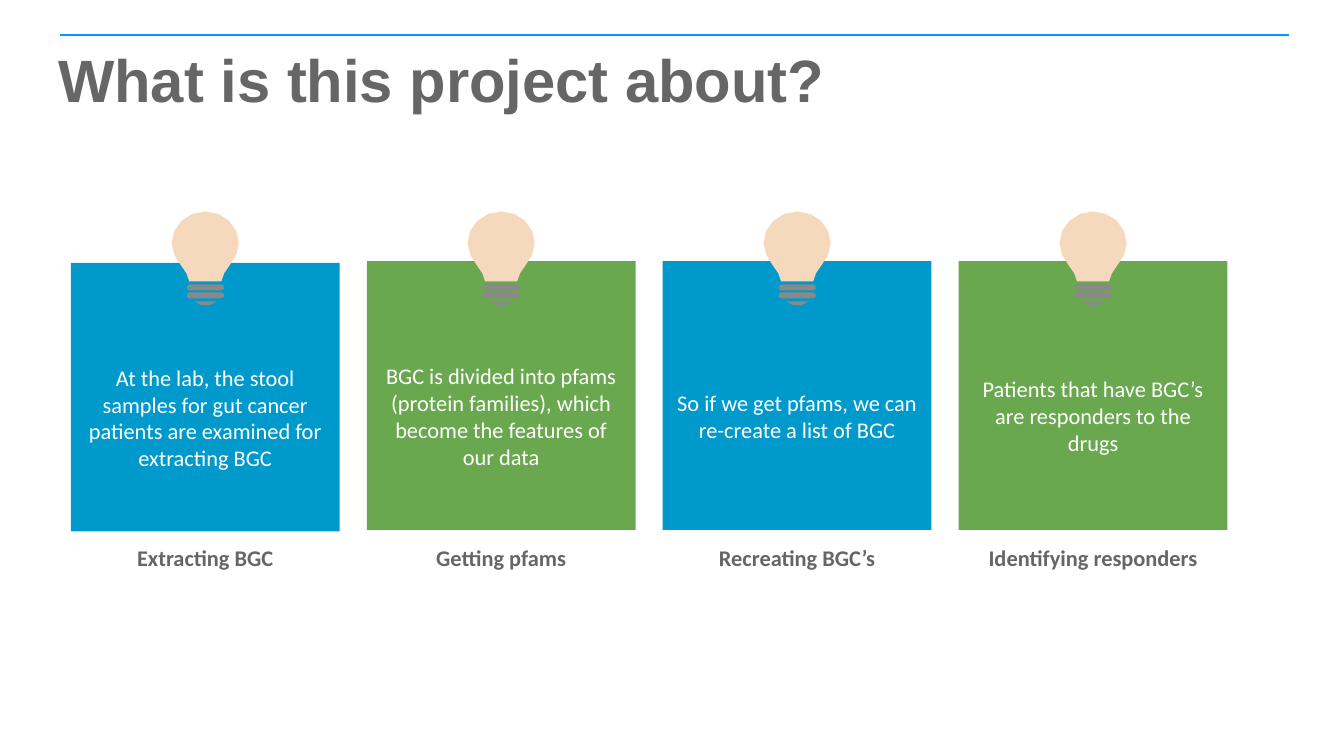
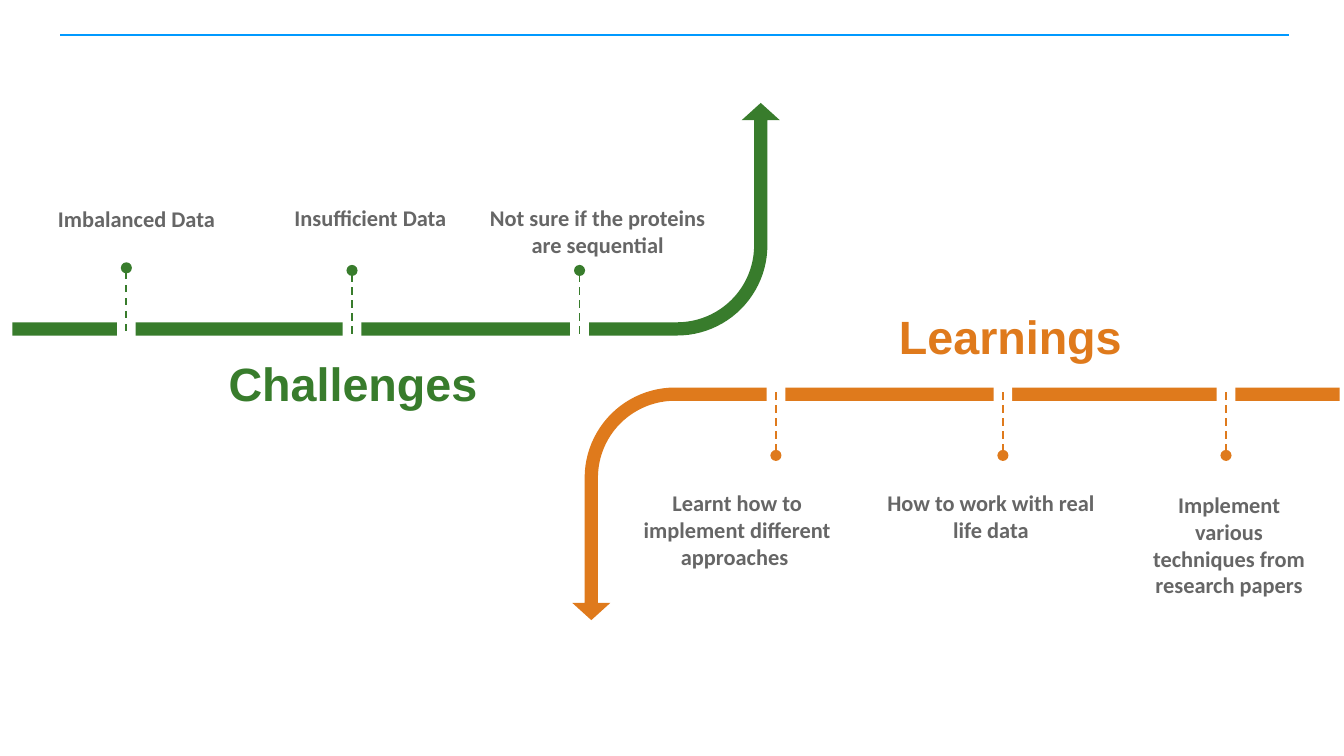
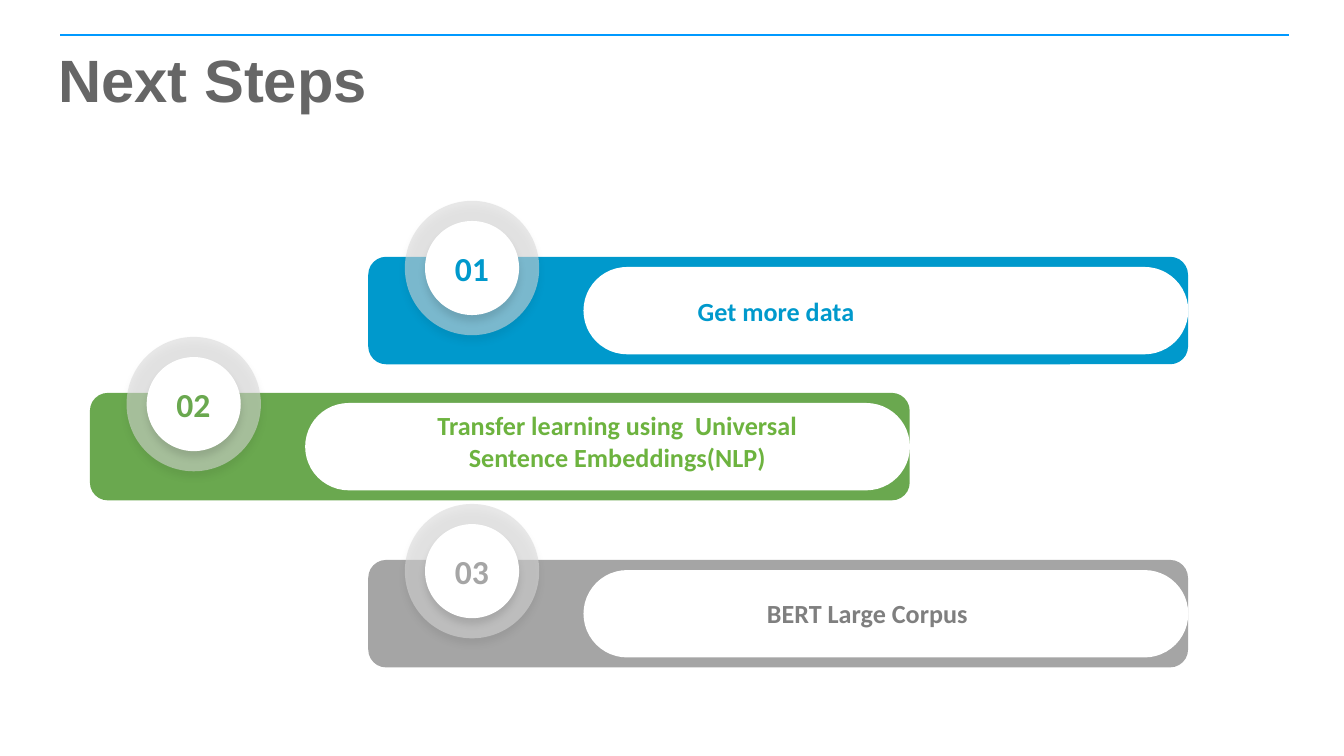
import pptx
import pptx.dml.color
import pptx.enum.dml
import pptx.enum.shapes
import pptx.enum.text
import pptx.oxml
import pptx.oxml.ns
import pptx.util

Pt = pptx.util.Pt
qn = pptx.oxml.ns.qn
SHAPE = pptx.enum.shapes.MSO_SHAPE
ALIGN = pptx.enum.text.PP_ALIGN
ANCHOR = pptx.enum.text.MSO_ANCHOR

COLORS = {
    "rule": "0099FF", "text": "666666", "white": "FFFFFF",
    "blue": "0099CC", "green": "6AA84F", "gray": "A5A5A5",
    "glass": "F6D8BC", "socket": "898989",
    "challenge": "387C2C", "learning": "DF7A1C",
    "ring": "D8D8D8", "shadow": "000000",
    "label green": "6DB33F", "label gray": "7F7F7F",
}
HEADING_FONT, BODY_FONT = "Arial", "Calibri"
INSETS = (7.2, 3.6, 7.2, 3.6)


def rgb(color):
    return pptx.dml.color.RGBColor.from_string(COLORS[color])


def paint(shape, color):
    """Plain fill without outline or shadow."""
    shape.shadow.inherit = False
    shape.fill.solid()
    shape.fill.fore_color.rgb = rgb(color)
    shape.line.fill.background()
    return shape


def add_block(shapes, kind, left, top, width, height, color, *adjustments):
    block = shapes.add_shape(kind, Pt(left), Pt(top), Pt(width), Pt(height))
    for index, value in enumerate(adjustments):
        block.adjustments[index] = value
    return paint(block, color)


def write(shape, text, size, color, bold=True, font=BODY_FONT,
          align=ALIGN.CENTER, anchor=ANCHOR.TOP, insets=INSETS):
    frame = shape.text_frame
    frame.text = text
    frame.word_wrap = True
    frame.vertical_anchor = anchor
    (frame.margin_left, frame.margin_top,
     frame.margin_right, frame.margin_bottom) = map(Pt, insets)
    paragraph = frame.paragraphs[0]
    paragraph.alignment = align
    for run in paragraph.runs:
        run.font.name = font
        run.font.size = Pt(size)
        run.font.bold = bold
        run.font.color.rgb = rgb(color)


def add_text(slide, box, text, size, color, **style):
    write(slide.shapes.add_textbox(*map(Pt, box)), text, size, color, **style)


def add_line(slide, start, end, color, width):
    line = slide.shapes.add_connector(
        pptx.enum.shapes.MSO_CONNECTOR.STRAIGHT, *map(Pt, start + end))
    line.line.color.rgb = rgb(color)
    line.line.width = Pt(width)
    add_child(line._element.spPr, "a:effectLst")
    return line


def add_child(parent, tag, **attributes):
    child = pptx.oxml.parse_xml(f"<{tag} {pptx.oxml.ns.nsdecls('a')}/>")
    for name, value in attributes.items():
        child.set(name, str(value))
    parent.append(child)
    return child


def add_slide(deck, title=None):
    """Blank slide with the top rule and, if given, the title."""
    slide = deck.slides.add_slide(deck.slide_layouts[6])
    add_line(slide, (32.4, 18.7), (690.5, 18.7), "rule", 0.75)
    if title:
        add_text(slide, (24.1, 19.4, 666.7, 36), title, 32, "text",
                 font=HEADING_FONT, align=ALIGN.LEFT)
    return slide


def curve(start, *controls, steps=3):
    """Points along a chain of cubic curves, three controls to a curve."""
    points = [start]
    for first in range(0, len(controls), 3):
        knots = (points[-1],) + controls[first:first + 3]
        for step in range(1, steps + 1):
            t = step / steps
            weights = ((1 - t) ** 3, 3 * t * (1 - t) ** 2,
                       3 * t * t * (1 - t), t ** 3)
            points.append(tuple(sum(w * knot[axis] for w, knot in zip(weights, knots))
                                for axis in (0, 1)))
    return points


def add_outline(slide, left, top, contours, color):
    builder = None
    for contour in contours:
        start, *rest = [(Pt(left + x), Pt(top + y)) for x, y in contour]
        if builder is None:
            builder = slide.shapes.build_freeform(*start, scale=1.0)
        else:
            builder.move_to(*start)
        builder.add_line_segments(rest, close=True)
    return paint(builder.convert_to_shape(), color)


def mirrored(half, width):
    """Close a left half with its reflection, sharing points on the axis."""
    return half + [(width - x, y) for x, y in reversed(half) if x != width / 2]


def add_bulb(slide, left, top):
    width, rung_height = 36, 3.2
    reach = rung_height * 2 / 3
    rungs = [mirrored(curve((9.5, y), (9.5 - reach, y),
                            (9.5 - reach, y + rung_height), (9.5, y + rung_height)), width)
             for y in (39.1, 43.4)]
    tip = curve((12, 48.2), (14.5, 51.2), (21.5, 51.2), (24, 48.2))
    add_outline(slide, left, top, rungs + [tip], "socket")
    dome = curve((18, 0), (8, 0), (0, 7.7), (0, 17.2), steps=4)
    neck = curve((0, 17.2), (0, 23.8), (5, 28.1), (7.9, 33.1))
    glass = dome + neck[1:] + [(9.4, 37.4)]
    add_outline(slide, left, top, [mirrored(glass, width)], "glass")


def add_idea_card(slide, left, top, color, text, caption):
    side = 144
    card = add_block(slide.shapes, SHAPE.RECTANGLE, left, top, side, side, color)
    write(card, text, 12, "white", bold=False, anchor=ANCHOR.MIDDLE,
          insets=(7.2, 25.4, 7.2, 3.6))
    add_text(slide, (left, 288, side, 24.5), caption, 12, "text")
    add_bulb(slide, left + 54, 113.3)


def build_project(deck):
    slide = add_slide(deck, "What is this project about?")
    cards = [
        (140.8, "blue", "At the lab, the stool samples for gut cancer patients are "
         "examined for extracting BGC", "Extracting BGC"),
        (139.9, "green", "BGC is divided into pfams (protein families), which become "
         "the features of our data", "Getting pfams"),
        (139.9, "blue", "So if we get pfams, we can re-create a list of BGC",
         "Recreating BGC’s"),
        (139.9, "green", "Patients that have BGC’s are responders to the drugs",
         "Identifying responders"),
    ]
    for column, card in enumerate(cards):
        add_idea_card(slide, 38 + 158.54 * column, *card)


def add_bent_arrow(slide, left, top, rotation, color):
    arrow = add_block(slide.shapes, SHAPE.BENT_ARROW, left, top, 124.6, 411.1, color,
                      0.057, 0.082, 0.074, 0.388)
    arrow.rotation = rotation
    arrow._element.spPr.find(qn("a:xfrm")).set("flipH", "1")


def add_milestone(slide, x, y, reach, gap_top, color, caption, caption_box):
    """Gap in the arrow with a dashed pin of signed length reach."""
    add_block(slide.shapes, SHAPE.RECTANGLE, x - 5, gap_top, 10, 37.4, "white")
    pin = add_line(slide, (x, y), (x, y + reach), color, 1)
    pin.line.dash_style = pptx.enum.dml.MSO_LINE.DASH
    add_child(pin._element.spPr.find(qn("a:ln")), "a:tailEnd", type="oval")
    add_text(slide, caption_box + (21.6,), caption, 12, "text")


def build_lessons(deck):
    slide = add_slide(deck)
    add_bent_arrow(slide, 449.8, 64.4, 270, "learning")
    add_bent_arrow(slide, 149.9, -88.1, 90, "challenge")
    challenges = [
        (67.7, 177.3, "Imbalanced Data", (22.4, 106.6, 101.5)),
        (188.6, 178.7, "Insufficient Data", (147.7, 105.8, 101.5)),
        (310.5, 178.7, "Not sure if the proteins are sequential", (251.8, 105.8, 136.8)),
    ]
    learnings = [
        (415.7, 210.2, "Learnt how to implement different approaches ",
         (324.7, 258.5, 140.4)),
        (537.3, 210.2, "How to work with real life data", (465.4, 258.5, 131)),
        (656.8, 210.2, "Implement various techniques from research papers",
         (607.7, 259.5, 101.5)),
    ]
    for color, reach, gap_top, milestones in (
            ("challenge", -33.8, 148.5, challenges),
            ("learning", 33.8, 205, learnings)):
        for x, y, caption, caption_box in milestones:
            add_milestone(slide, x, y, reach, gap_top, color, caption, caption_box)
    add_text(slide, (113.5, 186.5, 151.2, 37.4), "Challenges", 25, "challenge",
             font=HEADING_FONT)
    add_text(slide, (432.5, 161.3, 217.4, 33.8), "Learnings", 25, "learning",
             font=HEADING_FONT)


def cast_shadow(shape):
    effects = shape._element.spPr.find(qn("a:effectLst"))
    shadow = add_child(effects, "a:outerShdw", blurRad=Pt(4), dist=Pt(3),
                       dir=90 * 60000, algn="t", rotWithShape=0)
    tint = add_child(shadow, "a:srgbClr", val=COLORS["shadow"])
    add_child(tint, "a:alpha", val=11000)


def add_badge(slide, left, top):
    badge = slide.shapes.add_group_shape()
    ring = add_block(badge.shapes, SHAPE.OVAL, left, top, 72, 72, "ring")
    tint = ring._element.spPr.find(qn("a:solidFill")).find(qn("a:srgbClr"))
    add_child(tint, "a:alpha", val=57000)
    disc = add_block(badge.shapes, SHAPE.OVAL, left + 10.8, top + 10.8, 50.4, 50.4, "white")
    cast_shadow(ring)
    cast_shadow(disc)


def add_step(slide, left, top, number, color, label, label_color, label_box):
    """Numbered bar; label_box is relative to the bar."""
    add_block(slide.shapes, SHAPE.ROUNDED_RECTANGLE, left, top, 439.2, 57.6, color, 0.167)
    add_badge(slide, left + 19.6, top - 30)
    add_block(slide.shapes, SHAPE.ROUNDED_RECTANGLE, left + 115.3, top + 5.4, 324, 46.8,
              "white", 0.5)
    add_text(slide, (left + 44.3, top - 8.6, 22.4, 28.8), number, 18, color,
             anchor=ANCHOR.MIDDLE, insets=(0, 3.6, 0, 3.6))
    label_left, label_top, width, height = label_box
    add_text(slide, (left + label_left, top + label_top, width, height), label, 14,
             label_color, anchor=ANCHOR.MIDDLE, insets=(7.2, 0, 0, 0))


def build_next_steps(deck):
    slide = add_slide(deck, "Next Steps")
    steps = [
        (197.3, 137.6, "blue", "Get more data", "blue", (136.8, 19.5, 156.2, 19.4)),
        (48.2, 210.5, "green", "Transfer learning using  Universal Sentence Embeddings(NLP)",
         "label green", (154.1, 7.9, 249.8, 36)),
        (197.3, 300, "gray", "BERT Large Corpus", "label gray",
         (189.7, 16.8, 148.3, 23.8)),
    ]
    for number, (left, top, *content) in enumerate(steps, 1):
        add_step(slide, left, top, f"{number:02}", *content)


def main():
    deck = pptx.Presentation()
    deck.slide_width, deck.slide_height = Pt(720), Pt(405)
    build_project(deck)
    build_lessons(deck)
    build_next_steps(deck)
    deck.save("out.pptx")


if __name__ == "__main__":
    main()
